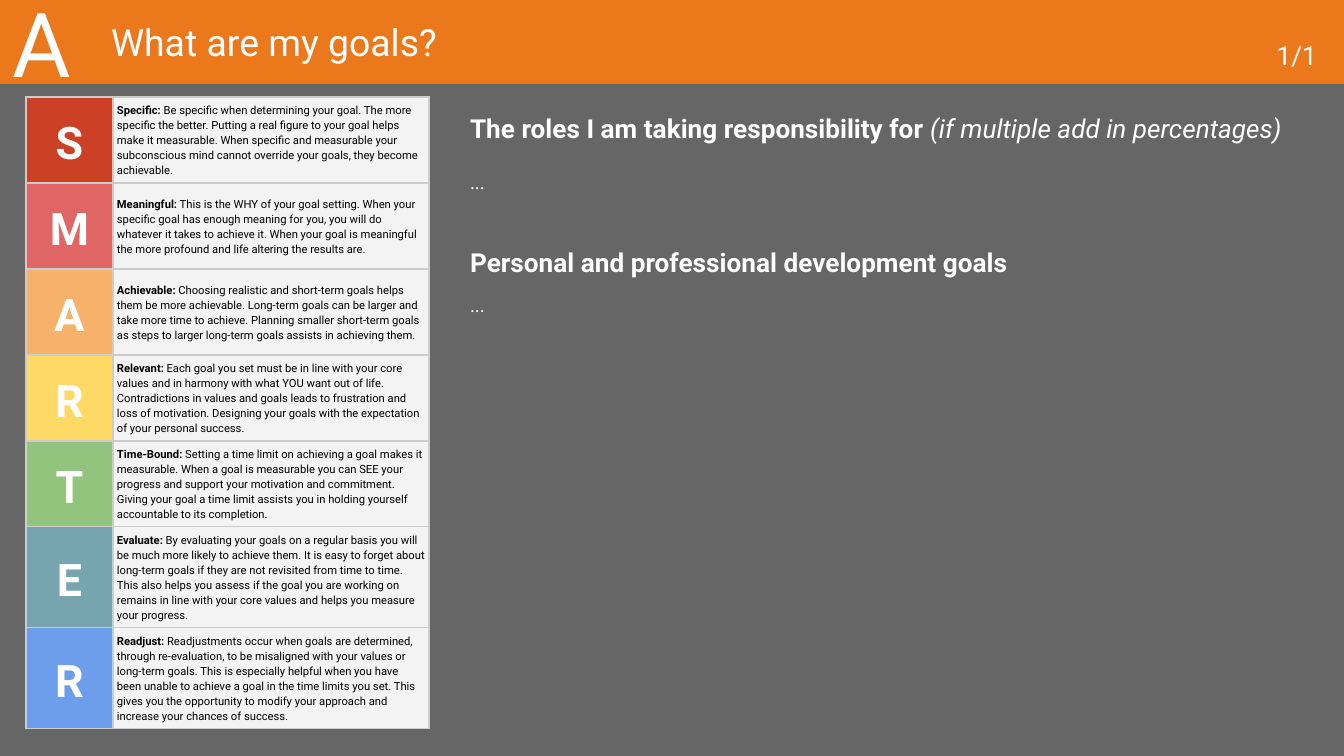
from lxml.etree import SubElement
from pptx import Presentation
from pptx.dml.color import RGBColor
from pptx.enum.shapes import MSO_SHAPE
from pptx.enum.text import MSO_ANCHOR, MSO_AUTO_SIZE, PP_ALIGN
from pptx.oxml import parse_xml
from pptx.oxml.ns import nsdecls, qn
from pptx.util import Pt

PX = 9144000 / 1344
FONT = "Roboto"
WHITE = "FFFFFF"
HEADER_HEIGHT = 84

GOALS = [
    ("S", "CC4125", 86, "Specific:",
     " Be specific when determining your goal. The more specific the better. Putting a real "
     "figure to your goal helps make it measurable. When specific and measurable your "
     "subconscious mind cannot override your goals, they become achievable."),
    ("M", "E06666", 86, "Meaningful:",
     " This is the WHY of your goal setting. When your specific goal has enough meaning for "
     "you, you will do whatever it takes to achieve it. When your goal is meaningful the more "
     "profound and life altering the results are."),
    ("A", "F6B26B", 86, "Achievable:",
     " Choosing realistic and short-term goals helps them be more achievable. Long-term goals "
     "can be larger and take more time to achieve. Planning smaller short-term goals as steps "
     "to larger long-term goals assists in achieving them."),
    ("R", "FFD966", 86, "Relevant:",
     " Each goal you set must be in line with your core values and in harmony with what YOU "
     "want out of life. Contradictions in values and goals leads to frustration and loss of "
     "motivation. Designing your goals with the expectation of your personal success."),
    ("T", "93C47D", 86, "Time-Bound:",
     " Setting a time limit on achieving a goal makes it measurable. When a goal is measurable "
     "you can SEE your progress and support your motivation and commitment. Giving your goal a "
     "time limit assists you in holding yourself accountable to its completion."),
    ("E", "76A5AF", 101, "Evaluate:",
     " By evaluating your goals on a regular basis you will be much more likely to achieve "
     "them. It is easy to forget about long-term goals if they are not revisited from time to "
     "time. This also helps you assess if the goal you are working on remains in line with "
     "your core values and helps you measure your progress."),
    ("R", "6D9EEB", 101, "Readjust:",
     " Readjustments occur when goals are determined, through re-evaluation, to be misaligned "
     "with your values or long-term goals. This is especially helpful when you have been "
     "unable to achieve a goal in the time limits you set. This gives you the opportunity to "
     "modify your approach and increase your chances of success."),
]


def px(length):
    return round(length * PX)


def color(hex_string):
    return RGBColor.from_string(hex_string)


def place(shape, left, top, width, height):
    shape.left, shape.top = px(left), px(top)
    shape.width, shape.height = px(width), px(height)


def set_margins(holder, across, down):
    holder.margin_left = holder.margin_right = px(across)
    holder.margin_top = holder.margin_bottom = px(down)


def prepare_frame(shape, anchor):
    frame = shape.text_frame
    frame.word_wrap = True
    frame.auto_size = MSO_AUTO_SIZE.NONE
    frame.vertical_anchor = anchor
    set_margins(frame, 13, 13)
    return frame


def write(para, spans, size, fill=WHITE, align=PP_ALIGN.LEFT, spacing=1.0, before=0, after=0):
    """Fill a paragraph with (text, bold, italic) spans."""
    para.alignment = align
    para.line_spacing = spacing
    para.space_before, para.space_after = Pt(before), Pt(after)
    para.font.name, para.font.size = FONT, Pt(size)
    para.font.color.rgb = color(fill)
    for text, bold, italic in spans:
        span = para.add_run()
        span.text = text
        span.font.bold, span.font.italic = bold, italic


def remove_bullet(para):
    properties = para._p.get_or_add_pPr()
    properties.set("marL", "0")
    properties.set("indent", "0")
    SubElement(properties, qn("a:buNone"))


def add_header(page, left, top, width, height):
    bar = page.shapes.add_shape(MSO_SHAPE.RECTANGLE, 0, 0, 0, 0)
    place(bar, left, top, width, height)
    bar.shadow.inherit = False
    bar.fill.solid()
    bar.fill.fore_color.rgb = color("EC781C")
    bar.line.fill.background()
    page.shapes._spTree.insert(2, bar._element)  # behind the title

    letter = page.shapes.add_textbox(0, 0, 0, 0)
    counter = page.shapes.add_textbox(0, 0, 0, 0)
    labels = [
        (page.shapes.title, "What are my goals?", 98, 806, 20, MSO_ANCHOR.MIDDLE, PP_ALIGN.LEFT),
        (counter, "1/1", width - 305, 291, 14, MSO_ANCHOR.BOTTOM, PP_ALIGN.RIGHT),
        (letter, "A", 0, height, 48, MSO_ANCHOR.MIDDLE, PP_ALIGN.CENTER),
    ]
    for box, text, offset, box_width, size, anchor, align in labels:
        place(box, left + offset, top, box_width, height)
        frame = prepare_frame(box, anchor)
        write(frame.paragraphs[0], [(text, False, False)], size, align=align)


def add_roles(page, left, top, width, height):
    heading, body = page.placeholders[1], page.placeholders[2]
    heading_height = 59
    place(heading, left, top, width, heading_height)
    place(body, left, top + heading_height, width, height - heading_height)

    para = prepare_frame(heading, MSO_ANCHOR.TOP).paragraphs[0]
    write(para, [("The roles I am taking responsibility for", True, False),
                 (" (if multiple add in percentages)", False, True)],
          14, spacing=1.04, after=8)
    remove_bullet(para)

    frame = prepare_frame(body, MSO_ANCHOR.TOP)
    lines = [
        ("...", 10, False, 0, 0, PP_ALIGN.LEFT),
        ("Personal and professional development goals", 14, True, 28, 0, PP_ALIGN.LEFT),
        ("...", 10, False, 8, 8, PP_ALIGN.JUSTIFY),
    ]
    for index, (text, size, bold, before, after, align) in enumerate(lines):
        para = frame.add_paragraph() if index else frame.paragraphs[0]
        write(para, [(text, bold, False)], size, align=align, spacing=1.04,
              before=before, after=after)
        remove_bullet(para)


def style_cell(cell, fill):
    cell.fill.solid()
    cell.fill.fore_color.rgb = color(fill)
    cell.vertical_anchor = MSO_ANCHOR.MIDDLE
    set_margins(cell, 4, 3)
    for index, side in enumerate(("lnL", "lnR", "lnT", "lnB")):
        border = parse_xml(
            f'<a:{side} {nsdecls("a")} w="{Pt(0.75)}"><a:solidFill>'
            f'<a:srgbClr val="CCCCCC"/></a:solidFill></a:{side}>')
        cell._tc.get_or_add_tcPr().insert(index, border)


def add_goal_table(page, left, top, width):
    height = sum(goal[2] for goal in GOALS)
    table = page.shapes.add_table(len(GOALS), 2, px(left), px(top), px(width), px(height)).table
    table.first_row = table.horz_banding = False
    letter_width = 87
    table.columns[0].width = px(letter_width)
    table.columns[1].width = px(width - letter_width)
    for row, (letter, fill, row_height, term, meaning) in enumerate(GOALS):
        table.rows[row].height = px(row_height)
        letter_cell, text_cell = table.cell(row, 0), table.cell(row, 1)
        style_cell(letter_cell, fill)
        style_cell(text_cell, "F3F3F3")
        write(letter_cell.text_frame.paragraphs[0], [(letter, True, False)], 24,
              align=PP_ALIGN.CENTER, spacing=1.15)
        write(text_cell.text_frame.paragraphs[0],
              [(term, True, False), (meaning, False, False)], 6, "000000", spacing=1.15)


def main():
    deck = Presentation()
    deck.slide_width, deck.slide_height = px(1344), px(756)
    page = deck.slides.add_slide(deck.slide_layouts.get_by_name("Two Content"))
    page.background.fill.solid()
    page.background.fill.fore_color.rgb = color("666666")
    add_header(page, 0, 0, 1344, HEADER_HEIGHT)
    add_roles(page, 457, 98, 860, 630)
    add_goal_table(page, 26, 97, 403)
    deck.save("out.pptx")


if __name__ == "__main__":
    main()
